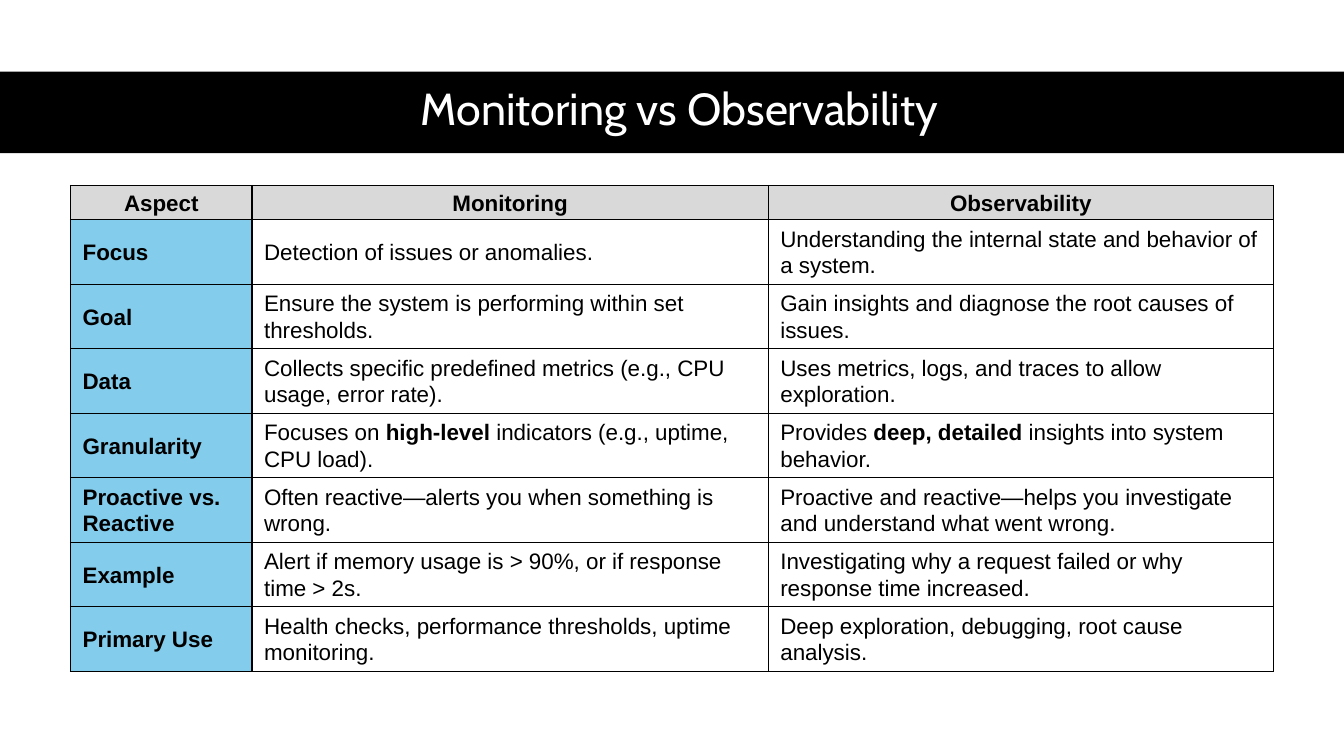
from pptx import Presentation
from pptx.dml.color import RGBColor
from pptx.enum.shapes import MSO_SHAPE as Shape
from pptx.enum.text import MSO_ANCHOR as Anchor, PP_ALIGN as Align
from pptx.oxml import parse_xml
from pptx.oxml.ns import nsdecls
from pptx.util import Inches, Pt

COLORS = {
    "black": "000000",
    "white": "FFFFFF",
    "header": "D9D9D9",
    "aspect": "83CCEB",
}
COLUMN_WIDTHS = [1.8, 5.12, 5.01]
HEADER_HEIGHT, ROW_HEIGHT = 0.34, 0.64

# Double asterisks enclose bold words
COMPARISON = [
    ("Aspect", "Monitoring", "Observability"),
    ("Focus", "Detection of issues or anomalies.",
     "Understanding the internal state and behavior of a system."),
    ("Goal", "Ensure the system is performing within set thresholds.",
     "Gain insights and diagnose the root causes of issues."),
    ("Data", "Collects specific predefined metrics (e.g., CPU usage, error rate).",
     "Uses metrics, logs, and traces to allow exploration."),
    ("Granularity", "Focuses on **high-level** indicators (e.g., uptime, CPU load).",
     "Provides **deep, detailed** insights into system behavior."),
    ("Proactive vs. Reactive", "Often reactive—alerts you when something is wrong.",
     "Proactive and reactive—helps you investigate and understand what went wrong."),
    ("Example", "Alert if memory usage is > 90%, or if response time > 2s.",
     "Investigating why a request failed or why response time increased."),
    ("Primary Use", "Health checks, performance thresholds, uptime monitoring.",
     "Deep exploration, debugging, root cause analysis."),
]


def rgb(color):
    return RGBColor.from_string(COLORS[color])


def write_text(frame, text, *, font="Arial", size=16, color="black", bold=False,
               align=Align.LEFT, line_spacing=1.07, space_after=8):
    paragraph = frame.paragraphs[0]
    paragraph.alignment = align
    paragraph.line_spacing = line_spacing
    paragraph.space_before = Pt(0)
    paragraph.space_after = Pt(space_after)
    for index, part in enumerate(text.split("**")):
        run = paragraph.add_run()
        run.text = part
        run.font.name = font
        run.font.size = Pt(size)
        run.font.bold = bold or index % 2 == 1
        run.font.color.rgb = rgb(color)


def add_band(slide):
    band = slide.shapes.add_shape(
        Shape.RECTANGLE, 0, Inches(0.71), Inches(13.33), Inches(0.81))
    band.shadow.inherit = False
    band.fill.solid()
    band.fill.fore_color.rgb = rgb("black")
    band.line.fill.background()
    # Send the band behind the title
    slide.shapes._spTree.insert(2, band._element)


def set_title(slide, text):
    title = slide.shapes.title
    title.left, title.top = Inches(0.61), Inches(0.7)
    title.width, title.height = Inches(12.26), Inches(0.81)
    title.text_frame.vertical_anchor = Anchor.MIDDLE
    write_text(title.text_frame, text, font="Cabin", size=32, color="white",
               align=Align.CENTER, line_spacing=0.9, space_after=6)


def add_borders(cell):
    properties = cell._tc.get_or_add_tcPr()
    for position, side in enumerate(("lnL", "lnR", "lnT", "lnB")):
        properties.insert(position, parse_xml(
            f'<a:{side} {nsdecls("a")} w="{Pt(1)}"><a:solidFill>'
            f'<a:srgbClr val="{COLORS["black"]}"/></a:solidFill></a:{side}>'))


def format_cell(cell, text, fill=None, **text_format):
    cell.vertical_anchor = Anchor.MIDDLE
    cell.margin_left = cell.margin_right = Inches(0.12)
    cell.margin_top = cell.margin_bottom = 0
    if fill:
        cell.fill.solid()
        cell.fill.fore_color.rgb = rgb(fill)
    else:
        cell.fill.background()
    add_borders(cell)
    write_text(cell.text_frame, text, **text_format)


def add_comparison(slide, rows):
    heights = [HEADER_HEIGHT] + [ROW_HEIGHT] * (len(rows) - 1)
    comparison = slide.shapes.add_table(
        len(rows), len(COLUMN_WIDTHS), Inches(0.7), Inches(1.84),
        Inches(sum(COLUMN_WIDTHS)), Inches(sum(heights))).table
    comparison.first_row = comparison.horz_banding = False
    for column, width in zip(comparison.columns, COLUMN_WIDTHS):
        column.width = Inches(width)
    for row_index, (texts, height) in enumerate(zip(rows, heights)):
        comparison.rows[row_index].height = Inches(height)
        for column_index, text in enumerate(texts):
            cell = comparison.cell(row_index, column_index)
            if row_index == 0:
                format_cell(cell, text, "header", bold=True, align=Align.CENTER)
            elif column_index == 0:
                format_cell(cell, text, "aspect", bold=True)
            else:
                format_cell(cell, text)


def main():
    deck = Presentation()
    deck.slide_width, deck.slide_height = Inches(13.33), Inches(7.5)
    slide = deck.slides.add_slide(deck.slide_layouts[5])

    # Heading
    add_band(slide)
    set_title(slide, "Monitoring vs Observability")

    # Comparison table
    add_comparison(slide, COMPARISON)
    deck.save("out.pptx")


if __name__ == "__main__":
    main()
